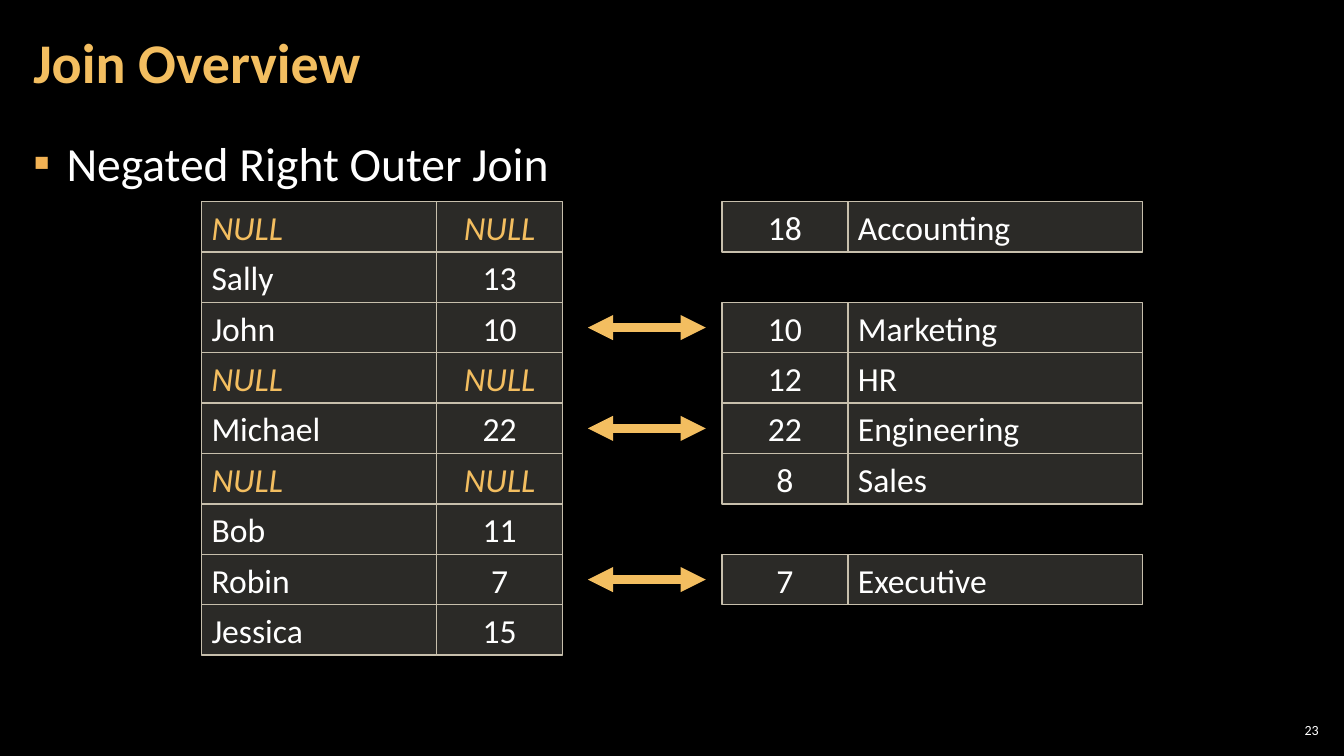
import pptx
import pptx.dml.color
import pptx.enum.dml
import pptx.enum.shapes
import pptx.enum.text
import pptx.oxml
import pptx.oxml.ns
import pptx.util

RGB = pptx.dml.color.RGBColor
ALIGN = pptx.enum.text.PP_ALIGN
MIDDLE = pptx.enum.text.MSO_ANCHOR.MIDDLE
TOP = pptx.enum.text.MSO_ANCHOR.TOP

BLACK = RGB(0x00, 0x00, 0x00)
WHITE = RGB(0xFF, 0xFF, 0xFF)
GOLD = RGB(0xF3, 0xBE, 0x60)
BULLET_GOLD = RGB(0xF2, 0xB2, 0x54)
CELL_FILL = RGB(0xD9, 0xD5, 0xC7)
CELL_BORDER = RGB(0xC7, 0xBF, 0xAC)

# One entry per row: (employee, department id), (department id, department)
NULL = "NULL"
JOIN_ROWS = [
    ((NULL, NULL), ("18", "Accounting")),
    (("Sally", "13"), None),
    (("John", "10"), ("10", "Marketing")),
    ((NULL, NULL), ("12", "HR")),
    (("Michael", "22"), ("22", "Engineering")),
    ((NULL, NULL), ("8", "Sales")),
    (("Bob", "11"), None),
    (("Robin", "7"), ("7", "Executive")),
    (("Jessica", "15"), None),
]
TITLE = "Join Overview"
TOPIC = "Negated Right Outer Join"
PAGE = "23"

PX = 9144  # 100 px to the inch
ROWS_TOP, ROW_HEIGHT = 200, 50
EMPLOYEE_COLUMNS = [(200, 233, ALIGN.LEFT), (433, 125, ALIGN.CENTER)]
DEPARTMENT_COLUMNS = [(716, 125, ALIGN.CENTER), (841, 292, ALIGN.LEFT)]
ARROW_LEFT, ARROW_RIGHT = 583, 700
CELL_OPACITY = 20


def emu(*lengths):
    return [pptx.util.Emu(length * PX) for length in lengths]


def set_all(target, values):
    for name, value in values.items():
        setattr(target, name, value)


def write(shape, text, size, color=WHITE, bold=False, italic=False,
          align=ALIGN.LEFT, anchor=MIDDLE, margins=(10, 5)):
    """Fill the shape with one paragraph and return that paragraph."""
    side, edge = emu(*margins)
    frame = shape.text_frame
    set_all(frame, dict(word_wrap=True, auto_size=pptx.enum.text.MSO_AUTO_SIZE.NONE,
                        vertical_anchor=anchor, margin_left=side, margin_right=side,
                        margin_top=edge, margin_bottom=edge))
    paragraph = frame.paragraphs[0]
    paragraph.alignment = align
    run = paragraph.add_run()
    run.text = text
    set_all(run.font, dict(name="Calibri", size=pptx.util.Pt(size), bold=bold, italic=italic))
    run.font.color.rgb = color
    return paragraph


def place(shape, left, top, width, height):
    set_all(shape, dict(zip(("left", "top", "width", "height"), emu(left, top, width, height))))


def add_xml(parent, tag, **attributes):
    element = pptx.oxml.parse_xml(f"<a:{tag} {pptx.oxml.ns.nsdecls('a')}/>")
    for name, value in attributes.items():
        element.set(name, value)
    parent.append(element)
    return element


def add_cell(slide, text, left, top, width, align):
    cell = slide.shapes.add_shape(pptx.enum.shapes.MSO_SHAPE.RECTANGLE,
                                  *emu(left, top, width, ROW_HEIGHT))
    cell.shadow.inherit = False
    cell.fill.solid()
    cell.fill.fore_color.rgb = CELL_FILL
    fill_color = cell.fill._xPr.find(".//" + pptx.oxml.ns.qn("a:srgbClr"))
    add_xml(fill_color, "alpha", val=str(CELL_OPACITY * 1000))
    cell.line.color.rgb = CELL_BORDER
    cell.line.width = pptx.util.Pt(1)
    missing = text == NULL
    write(cell, text, 24, GOLD if missing else WHITE, italic=missing, align=align)


def add_match_arrow(slide, y):
    arrow = slide.shapes.add_connector(pptx.enum.shapes.MSO_CONNECTOR.STRAIGHT,
                                       *emu(ARROW_LEFT, y, ARROW_RIGHT, y))
    arrow.line.color.rgb = GOLD
    arrow.line.width = pptx.util.Pt(6)
    line = arrow.line._get_or_add_ln()
    for end in ("headEnd", "tailEnd"):
        add_xml(line, end, type="triangle")
    add_xml(arrow._element.spPr, "effectLst")


def add_topic(body):
    place(body, 21, 126, 1291, 609)
    topic = write(body, TOPIC, 34, anchor=TOP, margins=(12, 4))
    properties = topic._p.get_or_add_pPr()
    indent = 33 * PX
    properties.set("marL", str(indent))
    properties.set("indent", str(-indent))
    add_xml(add_xml(properties, "buClr"), "srgbClr", val=str(BULLET_GOLD))
    add_xml(properties, "buFont", typeface="Calibri")
    add_xml(properties, "buChar", char="▪")
    set_all(topic, dict(line_spacing=1.05, space_before=pptx.util.Pt(0),
                        space_after=pptx.util.Pt(6)))


def main():
    deck = pptx.Presentation()
    deck.slide_width, deck.slide_height = emu(1333, 750)
    slide = deck.slides.add_slide(deck.slide_layouts[1])
    slide.background.fill.solid()
    slide.background.fill.fore_color.rgb = BLACK

    title = slide.shapes.title
    place(title, 21, 4, 1047, 121)
    write(title, TITLE, 40, GOLD, bold=True, margins=(12, 4)).line_spacing = 0.9
    add_topic(slide.placeholders[1])

    for index, (employee, department) in enumerate(JOIN_ROWS):
        top = ROWS_TOP + index * ROW_HEIGHT
        for record, columns in ((employee, EMPLOYEE_COLUMNS), (department, DEPARTMENT_COLUMNS)):
            for text, (left, width, align) in zip(record or (), columns):
                add_cell(slide, text, left, top, width, align)
        if department and employee[1] == department[0]:
            add_match_arrow(slide, top + ROW_HEIGHT // 2)

    page_number = slide.shapes.add_textbox(*emu(1265, 714, 47, 21))
    write(page_number, PAGE, 10, align=ALIGN.RIGHT, margins=(4, 4))
    deck.save("out.pptx")


if __name__ == "__main__":
    main()
